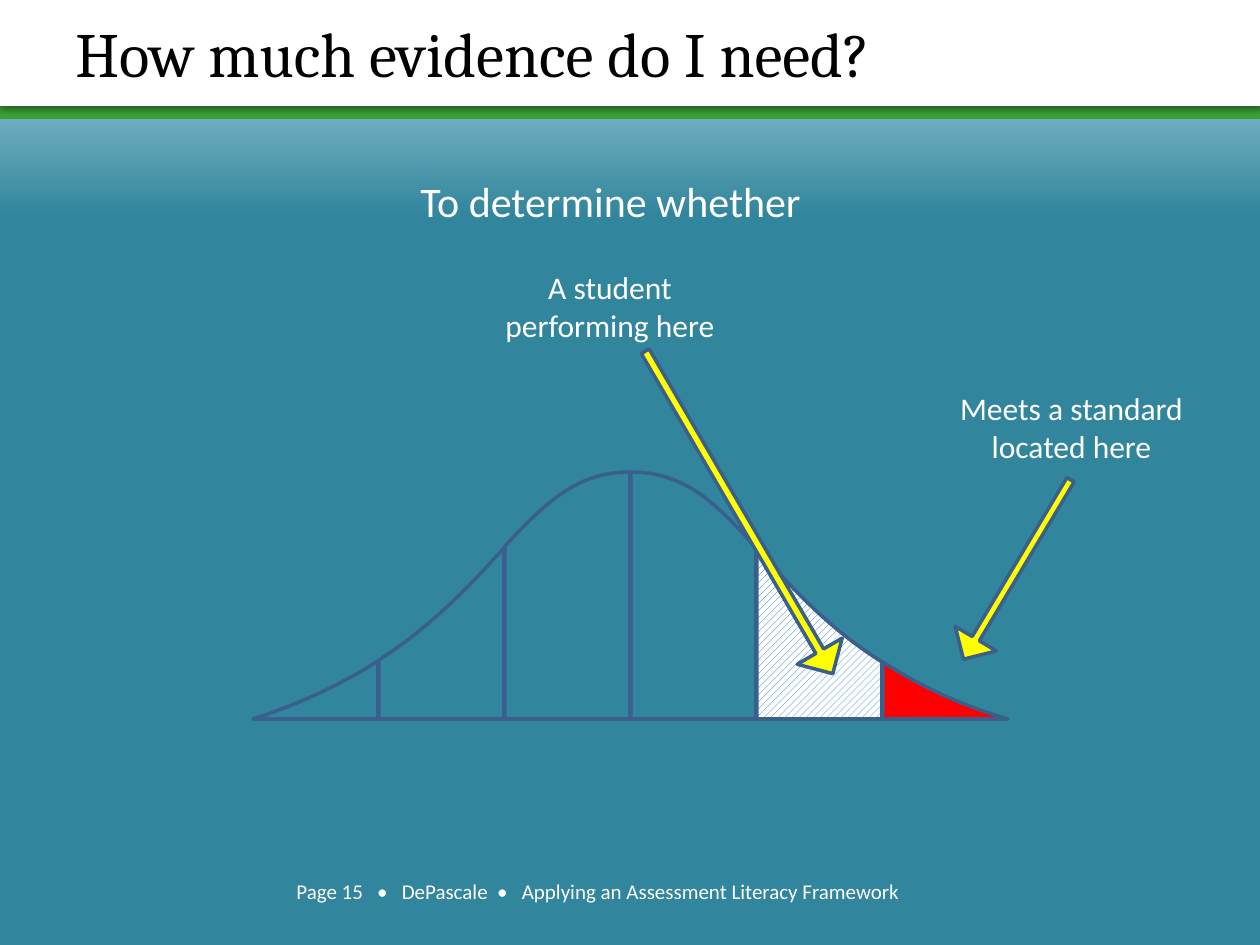
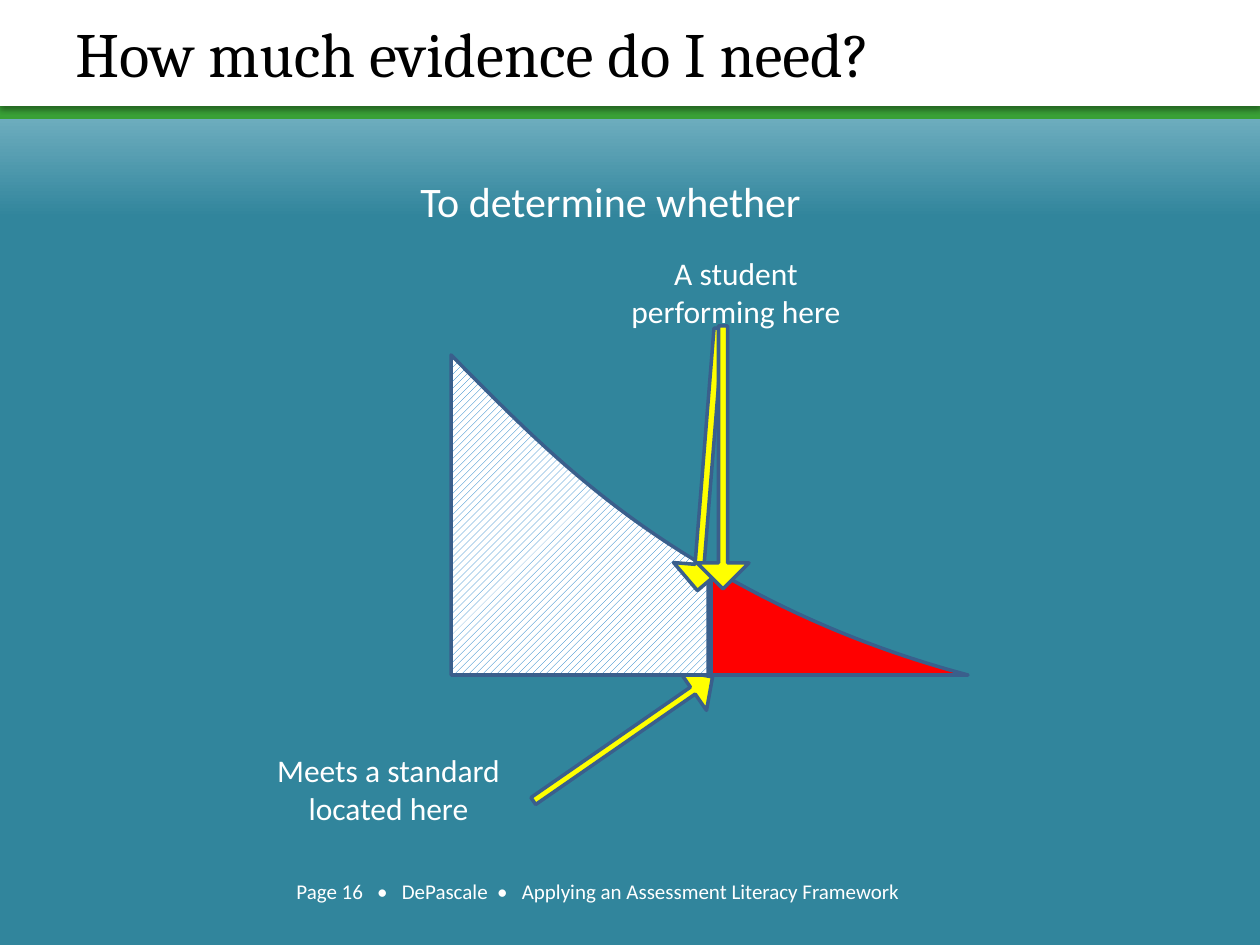
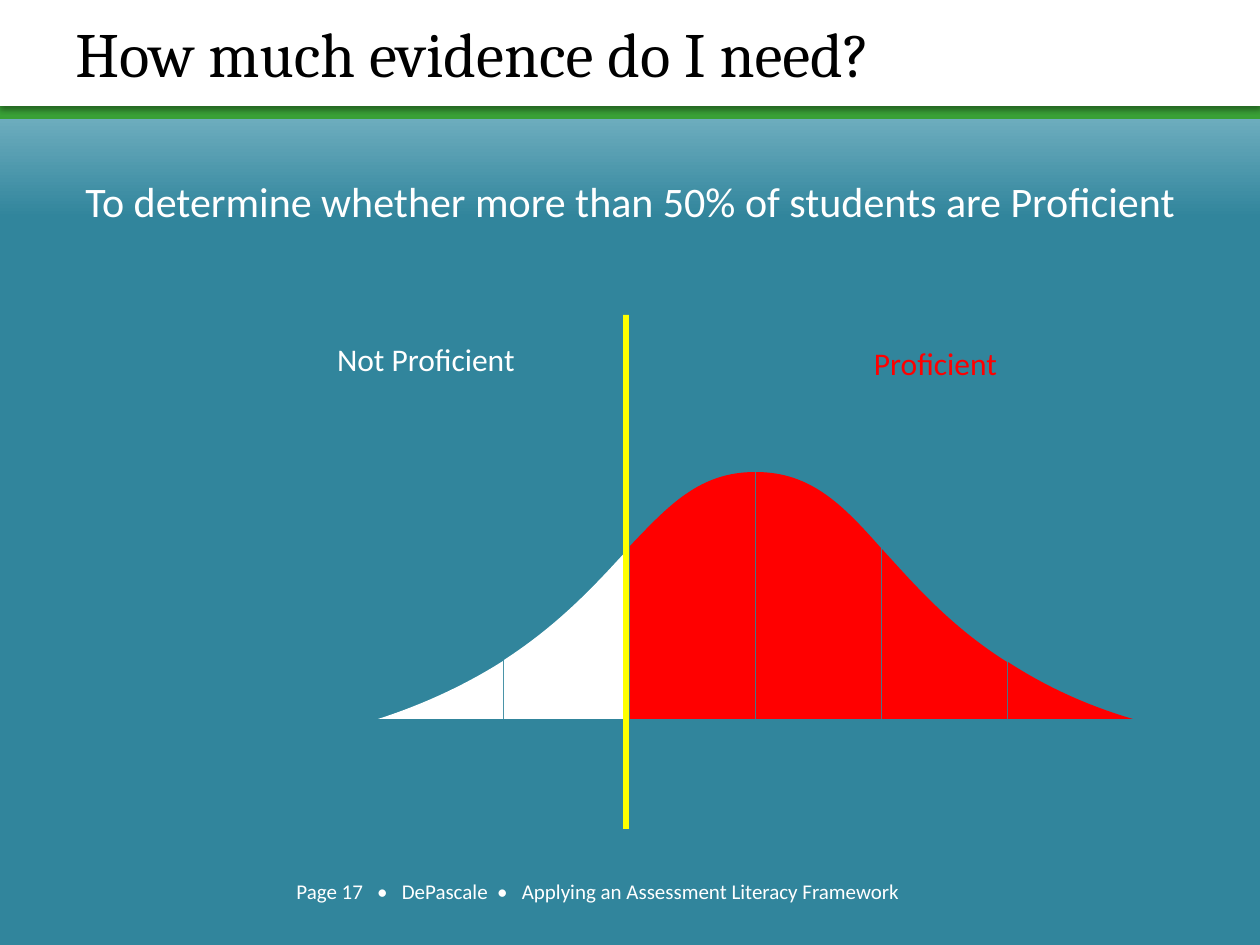
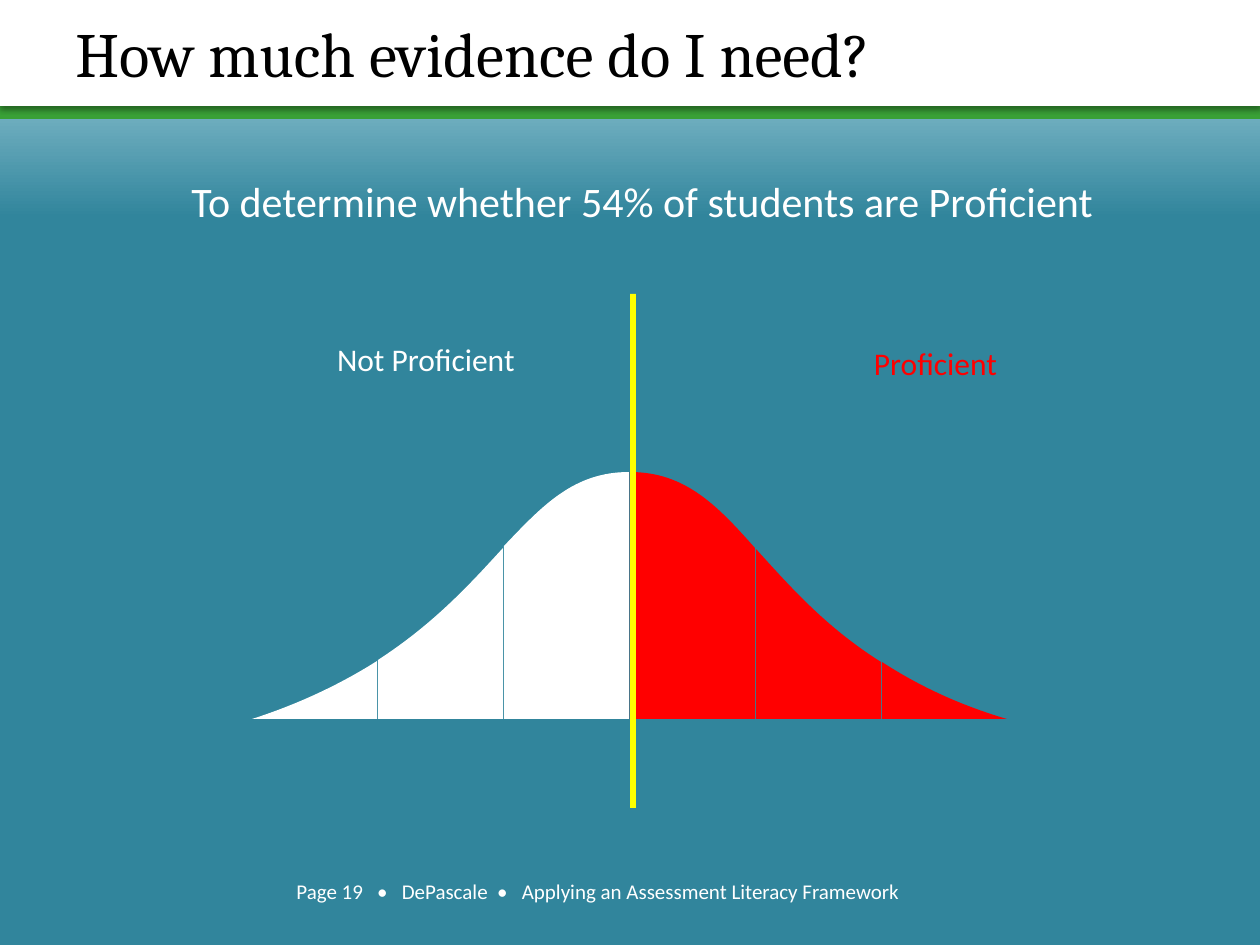
from lxml.etree import SubElement
from pptx import Presentation
from pptx.dml.color import RGBColor
from pptx.enum.dml import MSO_PATTERN
from pptx.enum.shapes import MSO_SHAPE
from pptx.enum.text import MSO_ANCHOR, MSO_AUTO_SIZE, PP_ALIGN
from pptx.oxml.ns import qn
from pptx.util import Inches, Pt

WIDTH, HEIGHT = 1260, 945
EMU_PER_PX = Inches(10) / WIDTH

TEAL, SKY, GREEN = "31859C", "B7DEE8", "39A036"
WHITE, BLACK, RED = "FFFFFF", "000000", "FF0000"
YELLOW, OUTLINE, HATCH = "FFFF00", "3A5F8C", "0070C0"
HATCHED = "hatched"

TITLE = "How much evidence do I need?"
FOOTER = "Page {}   •   DePascale  •   Applying an Assessment Literacy Framework"

# Each piece of the bell curve: start, two control points and end,
# as (x from the piece's left, height above the base line).
PITCH = 126
BELL = [
    [(0, 0), (50, 16), (92, 37), (125, 58)],
    [(0, 59), (57, 96), (93, 136), (125, 171)],
    [(0, 173), (39, 214), (70, 247), (125, 247)],
    [(0, 247), (55, 247), (87, 214), (125, 171)],
    [(0, 170), (32, 135), (68, 93), (125, 57)],
    [(0, 57), (34, 35), (74, 15), (125, 0)],
]


def px(n):
    return round(n * EMU_PER_PX)


def color(hex_code):
    return RGBColor.from_string(hex_code)


def paint(sp, fill=None, line=None):
    sp.shadow.inherit = False
    if fill is None:
        sp.fill.background()
    elif fill == HATCHED:
        sp.fill.patterned()
        sp.fill.pattern = MSO_PATTERN.WIDE_UPWARD_DIAGONAL
        sp.fill.fore_color.rgb = color(HATCH)
        sp.fill.back_color.rgb = color(WHITE)
    else:
        sp.fill.solid()
        sp.fill.fore_color.rgb = color(fill)
    if line:
        sp.line.color.rgb = color(line)
        sp.line.width = Pt(2)
    else:
        sp.line.fill.background()


def add_preset(slide, preset, box, fill, line=None):
    sp = slide.shapes.add_shape(preset, *map(px, box))
    paint(sp, fill, line)
    return sp


def add_text(slide, text, box, size=18, font="Calibri", fill=WHITE,
             align=PP_ALIGN.LEFT, anchor=MSO_ANCHOR.TOP, spacing=None, grow=True):
    tf = slide.shapes.add_textbox(*map(px, box)).text_frame
    tf.word_wrap = True
    tf.auto_size = MSO_AUTO_SIZE.SHAPE_TO_FIT_TEXT if grow else MSO_AUTO_SIZE.NONE
    tf.vertical_anchor = anchor
    p = tf.paragraphs[0]
    p.alignment = align
    p.line_spacing = spacing
    r = p.add_run()
    r.text = text
    r.font.size = Pt(size)
    r.font.name = font
    r.font.color.rgb = color(fill)


def add_label(slide, text, box, fill=WHITE):
    add_text(slide, text, box, fill=fill, align=PP_ALIGN.CENTER)


def add_arrow(slide, box, rotation):
    sp = add_preset(slide, MSO_SHAPE.UP_ARROW, box, YELLOW, OUTLINE)
    sp.adjustments[0], sp.adjustments[1] = 0.175, 0.5
    sp.rotation = rotation


def add_shadow(sp):
    effects = sp._element.spPr.find(qn("a:effectLst"))
    shadow = SubElement(effects, qn("a:outerShdw"), blurRad=str(Pt(3.1)),
                        dist=str(Pt(1.8)), dir="5400000", rotWithShape="0")
    clr = SubElement(shadow, qn("a:srgbClr"), val=BLACK)
    SubElement(clr, qn("a:alpha"), val="35000")


def bend_first_segments(sp):
    """Turn the first three line segments of a freeform into one Bézier curve."""
    lines = list(sp._element.iter(qn("a:lnTo")))[:3]
    outline = lines[0].getparent()
    curve = SubElement(outline, qn("a:cubicBezTo"))
    outline.insert(outline.index(lines[0]), curve)
    for line in lines:
        curve.append(line[0])
        outline.remove(line)


def add_bell(shapes, left, base, fills, first=0, line=None, scale=(1, 1)):
    """Draw consecutive pieces of the bell, one for each fill."""
    sx, sy = scale
    for i, fill in enumerate(fills):
        curve = BELL[first + i]
        outline = curve + [(curve[-1][0], 0), (0, 0)]
        points = [(left + (i * PITCH + x) * sx, base - y * sy) for x, y in outline]
        builder = shapes.build_freeform(*points[0], scale=EMU_PER_PX)
        builder.add_line_segments(points[1:], close=True)
        sp = builder.convert_to_shape()
        bend_first_segments(sp)
        paint(sp, fill, line)


def add_base_slide(prs, page, question, box):
    """Add a slide with backdrop, bands, title, footer and leading question."""
    slide = prs.slides.add_slide(prs.slide_layouts[6])
    backdrop = add_preset(slide, MSO_SHAPE.RECTANGLE, (0, 0, WIDTH, HEIGHT), TEAL)
    backdrop.fill.gradient()
    backdrop.fill.gradient_angle = 90
    for stop, position, shade in zip(backdrop.fill.gradient_stops, (0.77, 1), (TEAL, SKY)):
        stop.position = position
        stop.color.rgb = color(shade)
    add_preset(slide, MSO_SHAPE.RECTANGLE, (0, 93, WIDTH, 26), GREEN)
    add_shadow(add_preset(slide, MSO_SHAPE.RECTANGLE, (0, 0, WIDTH, 106), WHITE))
    add_text(slide, TITLE, (63, 18, 1124, 68), size=36, font="Cambria", fill=BLACK,
             anchor=MSO_ANCHOR.MIDDLE, grow=False)
    add_text(slide, FOOTER.format(page), (284, 877, 903, 45), size=12,
             spacing=0.8, grow=False)
    add_text(slide, question, box, size=24)
    return slide


def add_student_slide(prs, page, student_at, standard_at):
    slide = add_base_slide(prs, page, "To determine whether", (408, 169, 445, 63))
    add_label(slide, "A student performing here", (*student_at, 242, 89))
    add_label(slide, "Meets a standard located here", (*standard_at, 273, 89))
    return slide


def add_distant_slide(prs):
    slide = add_student_slide(prs, 15, (489, 262), (935, 383))
    add_arrow(slide, (993, 465, 48, 209), 210.8)
    add_bell(slide.shapes, 253, 719, [None] * 4 + [HATCHED, RED], line=OUTLINE)
    add_arrow(slide, (713, 326, 52, 373), 149.8)


def add_borderline_slide(prs):
    slide = add_student_slide(prs, 16, (615, 248), (252, 745))
    add_arrow(slide, (599, 630, 48, 218), 55.3)
    add_bell(slide.shapes.add_group_shape().shapes, 451, 675, [HATCHED, RED],
             first=4, line=OUTLINE, scale=(2.06, 1.88))
    add_arrow(slide, (682, 328, 52, 263), 184.6)
    add_arrow(slide, (697, 326, 52, 263), 180)


def add_proficiency_slide(prs, page, question, box, bell_left, below, cut_at):
    """Colour the first pieces of the bell as below the cut line."""
    slide = add_base_slide(prs, page, question, box)
    add_bell(slide.shapes.add_group_shape().shapes, bell_left, 719,
             [WHITE] * below + [RED] * (len(BELL) - below))
    add_label(slide, "Not Proficient", (305, 334, 242, 50))
    add_label(slide, "Proficient", (799, 338, 273, 50), fill=RED)
    add_preset(slide, MSO_SHAPE.RECTANGLE, (*cut_at, 6, 514), YELLOW)


def main():
    prs = Presentation()
    prs.slide_width, prs.slide_height = px(WIDTH), px(HEIGHT)
    add_distant_slide(prs)
    add_borderline_slide(prs)
    add_proficiency_slide(
        prs, 17, "To determine whether more than 50% of students are Proficient",
        (73, 169, 1124, 63), bell_left=378, below=2, cut_at=(623, 315))
    add_proficiency_slide(
        prs, 19, "To determine whether 54% of students are Proficient",
        (179, 169, 955, 63), bell_left=252, below=3, cut_at=(630, 294))
    prs.save("out.pptx")


if __name__ == "__main__":
    main()
